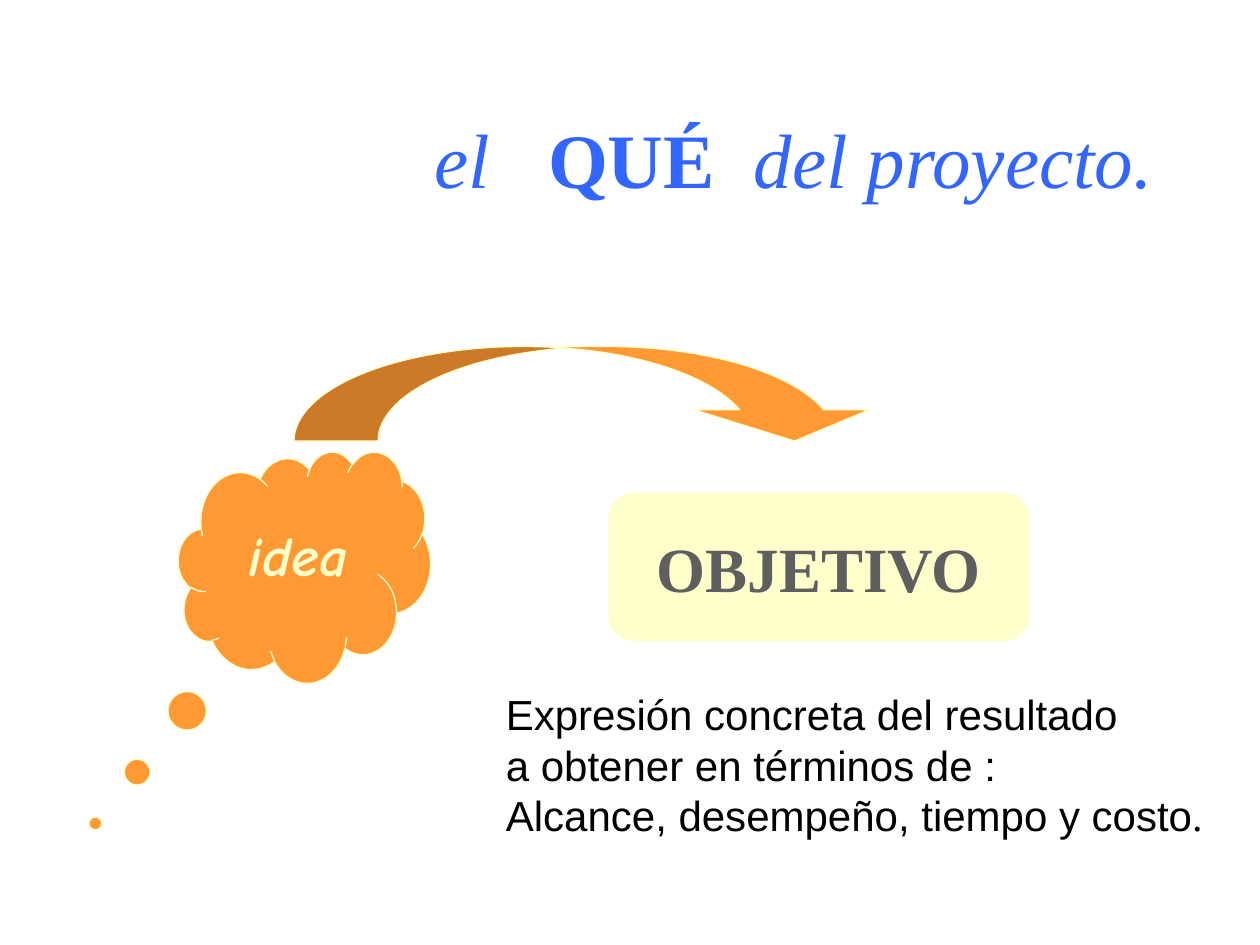
from pptx import Presentation
from pptx import util as u
from pptx.dml.color import RGBColor
from pptx.enum import shapes, text

BLUE = RGBColor(0x33, 0x66, 0xFF)
ORANGE = RGBColor(0xFF, 0x99, 0x33)
CREAM = RGBColor(0xFF, 0xFF, 0xCC)
GRAY = RGBColor(0x5F, 0x5F, 0x5F)
BLACK = RGBColor(0, 0, 0)

prs = Presentation()
prs.slide_width, prs.slide_height = u.Inches(10), u.Inches(7.5)
s = prs.slides.add_slide(prs.slide_layouts[6])
COL, ROW = prs.slide_width / 120, prs.slide_height / 90


def grid(col, row, cols, rows):
    return [int(n) for n in (col * COL, row * ROW, cols * COL, rows * ROW)]


def add_run(p, words, size=24, font="Arial", color=BLACK, bold=False, italic=False):
    r = p.add_run()
    r.text = words
    r.font.size, r.font.name = u.Pt(size), font
    r.font.bold, r.font.italic = bold, italic
    r.font.color.rgb = color


tf = s.shapes.add_textbox(*grid(9, 5, 102, 15)).text_frame
tf.word_wrap = True
tf.vertical_anchor = text.MSO_ANCHOR.BOTTOM
p = tf.paragraphs[0]
p.alignment = text.PP_ALIGN.RIGHT
for words, bold in (("el   ", False), ("QUÉ", True), ("  del proyecto.", False)):
    add_run(p, words, size=44, font="Times New Roman", color=BLUE, bold=bold, italic=not bold)

SHAPE = shapes.MSO_SHAPE
for kind, place, adjustments, fill in (
    (SHAPE.ROUNDED_RECTANGLE, (58, 47, 40, 14), (0.17,), CREAM),
    (SHAPE.CLOUD_CALLOUT, (17, 43, 24, 22), (-0.83, 1.11), ORANGE),
    (SHAPE.CURVED_DOWN_ARROW, (28, 33, 56, 9), (0.89, 1.85, 0.33), ORANGE),
):
    sp = s.shapes.add_shape(kind, *grid(*place))
    for i, value in enumerate(adjustments):
        sp.adjustments[i] = value
    sp.shadow.inherit = False
    sp.fill.solid()
    sp.fill.fore_color.rgb = fill
    sp.line.color.rgb = CREAM
    sp.line.width = u.Pt(0.75)
    if kind == SHAPE.ROUNDED_RECTANGLE:
        tf = sp.text_frame
        tf.word_wrap = False
        tf.vertical_anchor = text.MSO_ANCHOR.MIDDLE
        p = tf.paragraphs[0]
        p.alignment = text.PP_ALIGN.CENTER
        add_run(p, "OBJETIVO", size=36, font="Times New Roman", color=GRAY, bold=True)

tf = s.shapes.add_textbox(*grid(22.5, 49, 13.4, 7.7)).text_frame
tf.word_wrap = False
add_run(tf.paragraphs[0], "idea", size=32, font="Comic Neue", color=CREAM, bold=True, italic=True)

tf = s.shapes.add_textbox(*grid(47, 65, 68.8, 15.6)).text_frame
tf.word_wrap = False
for i, line in enumerate((
    "Expresión concreta del resultado",
    "a obtener en términos de :",
    "Alcance, desempeño, tiempo y costo",
)):
    p = tf.add_paragraph() if i else tf.paragraphs[0]
    add_run(p, line)
add_run(p, ".", font="Times New Roman")

prs.save("out.pptx")
